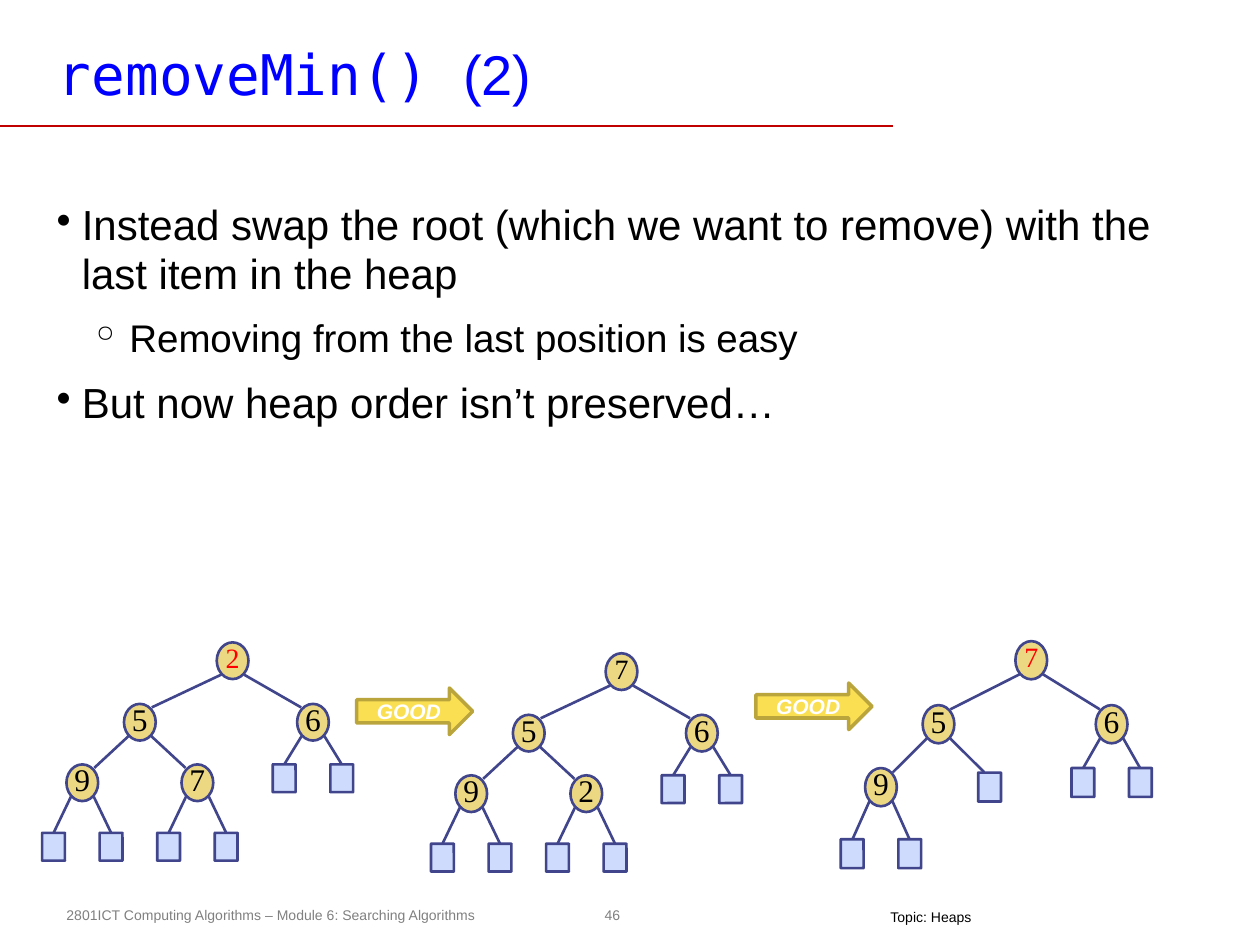
from dataclasses import dataclass

import lxml.etree
import pptx
import pptx.dml.color
import pptx.enum.shapes
import pptx.enum.text
import pptx.oxml.ns
import pptx.util

Cm = pptx.util.Cm
SHAPE = pptx.enum.shapes.MSO_SHAPE
ALIGN = pptx.enum.text.PP_ALIGN
ANCHOR = pptx.enum.text.MSO_ANCHOR


@dataclass(frozen=True)
class Theme:
    sans: str = "Arial"
    serif: str = "Times New Roman"
    mono: str = "DejaVu Sans Mono"
    title: str = "0000FF"
    text: str = "000000"
    muted: str = "808080"
    rule: str = "C00000"
    removed: str = "FF0000"
    outline: str = "40458C"
    node: str = "ECD882"
    leaf: str = "CFDBFD"
    arrow: str = "FBDF53"
    arrow_edge: str = "BAA53D"
    arrow_text: str = "FFFFFF"
    title_size: int = 32
    body_size: int = 24
    sub_size: int = 22
    key_size: int = 18
    root_size: int = 16
    arrow_size: int = 12
    small_size: int = 8


# Offsets from the root by heap index; the deeper places follow from these
PLACES = {1: (0, 0), 2: (-1.87, 1.24), 3: (1.62, 1.24), 4: (-3.03, 2.46), 5: (-0.71, 2.46)}
LEAF_STEP = 0.58


def rgb(code):
    return pptx.dml.color.RGBColor.from_string(code)


def apply(target, values):
    for name, value in values.items():
        setattr(target, name, value)


def place(index):
    """Offset of a heap index from the root."""
    if index in PLACES:
        return PLACES[index]
    x, _ = PLACES[index // 2]
    side = 1 if index % 2 else -1
    return x + side * LEAF_STEP, 2.37 if index < 8 else 3.75


class SlideBuilder:
    def __init__(self, page, theme):
        self.page = page
        self.theme = theme

    def span(self, para, text, size, color, font=None, **values):
        span = para.add_run()
        span.text = text
        apply(span.font, dict(name=font or self.theme.sans, size=pptx.util.Pt(size), **values))
        span.font.color.rgb = rgb(color)

    def frame(self, box, margins=(0.25, 0.13, 0.25, 0.13), wrap=True, anchor=ANCHOR.TOP):
        sides = ("margin_left", "margin_top", "margin_right", "margin_bottom")
        apply(box.text_frame, dict(zip(sides, map(Cm, margins)),
                                   word_wrap=wrap, vertical_anchor=anchor))
        return box.text_frame

    def text_box(self, x, y, width, height, parent=None, **layout):
        shapes = (parent or self.page).shapes
        return self.frame(shapes.add_textbox(Cm(x), Cm(y), Cm(width), Cm(height)), **layout)

    def bullet(self, para, mark, left, hang):
        apply(para, dict(line_spacing=0.97, space_before=pptx.util.Pt(10)))
        props = para._p.get_or_add_pPr()
        props.set("marL", str(Cm(left)))
        props.set("indent", str(-Cm(hang)))
        lxml.etree.SubElement(props, pptx.oxml.ns.qn("a:buChar")).set("char", mark)

    def shape(self, kind, x, y, width, height, fill=None, edge=None, weight=1.5, parent=None):
        shapes = (parent or self.page).shapes
        shape = shapes.add_shape(kind, Cm(x), Cm(y), Cm(width), Cm(height))
        shape.shadow.inherit = False
        for part, color in ((shape.fill, fill), (shape.line.fill, edge)):
            if color:
                part.solid()
                part.fore_color.rgb = rgb(color)
            else:
                part.background()
        if edge:
            shape.line.width = pptx.util.Pt(weight)
        return shape

    def line(self, start, end, color, weight, parent=None):
        shapes = (parent or self.page).shapes
        line = shapes.add_connector(pptx.enum.shapes.MSO_CONNECTOR.STRAIGHT,
                                    *map(Cm, (*start, *end)))
        line.line.color.rgb = rgb(color)
        line.line.width = pptx.util.Pt(weight)
        lxml.etree.SubElement(line._element.spPr, pptx.oxml.ns.qn("a:effectLst"))

    def arrow(self, x, y, text):
        theme = self.theme
        arrow = self.shape(SHAPE.RIGHT_ARROW, x, y, 2.34, 0.94, theme.arrow, theme.arrow_edge, 2)
        para = self.frame(arrow, anchor=ANCHOR.MIDDLE).paragraphs[0]
        para.alignment = ALIGN.CENTER
        self.span(para, text, theme.arrow_size, theme.arrow_text, bold=True, italic=True)

    def node(self, group, x, y, height, key, size, color):
        theme = self.theme
        self.shape(SHAPE.OVAL, x - 0.32, y - height / 2, 0.64, height,
                   theme.node, theme.outline, parent=group)
        frame = self.text_box(x - 0.22, y - 0.41, 0.44, 0.8, parent=group,
                              margins=(0, 0, 0, 0.13), anchor=ANCHOR.MIDDLE)
        frame.paragraphs[0].alignment = ALIGN.CENTER
        self.span(frame.paragraphs[0], str(key), size, color, theme.serif)

    def leaf(self, group, x, y, height):
        leaf = self.shape(SHAPE.ROUNDED_RECTANGLE, x - 0.23, y - height / 2, 0.46, height,
                          self.theme.leaf, self.theme.outline, parent=group)
        leaf.adjustments[0] = 0.007

    def heap(self, root_x, root_y, keys, root_color, stretch=1):
        """Draw an array-ordered heap, with an empty leaf at each missing child."""
        theme = self.theme
        group = self.page.shapes.add_group_shape()
        count = len(keys)

        def spot(index):
            x, y = place(index)
            return root_x + x, root_y + y * stretch

        # Edges
        for index in range(2, 2 * count + 2):
            (x1, y1), (x2, y2) = spot(index // 2), spot(index)
            side = 1 if index % 2 else -1
            end = (x2 - side * 0.24, y2 - 0.3) if index in PLACES else (x2, y2 - 0.28)
            self.line((x1 + side * 0.23, y1 + 0.28), end, theme.outline, 1.5, group)

        # Nodes and leaves
        for index in range(1, 2 * count + 2):
            x, y = spot(index)
            if index > count:
                shift = -0.13 if index in PLACES else 0
                self.leaf(group, x + shift, y, 0.56 * stretch)
            else:
                size, color = ((theme.root_size, root_color) if index == 1
                               else (theme.key_size, theme.text))
                self.node(group, x, y, 0.74 * stretch, keys[index - 1], size, color)


def main():
    theme = Theme()
    deck = pptx.Presentation()
    apply(deck, dict(slide_width=Cm(25.4), slide_height=Cm(19.05)))
    slide = SlideBuilder(deck.slides.add_slide(deck.slide_layouts[6]), theme)

    # Footer
    number = slide.shape(SHAPE.OVAL, 12.04, 18.11, 0.61, 0.66)
    para = slide.frame(number, (0.1,) * 4, wrap=False, anchor=ANCHOR.MIDDLE).paragraphs[0]
    para.alignment = ALIGN.CENTER
    slide.span(para, "46", theme.small_size, theme.muted)
    footer = slide.text_box(1.09, 18.14, 9.25, 0.61)
    slide.span(footer.paragraphs[0], "2801ICT Computing Algorithms – Module 6: Searching Algorithms",
               theme.small_size, theme.muted)
    topic = slide.text_box(17.7, 18.31, 2.16, 0.43, margins=(0.25, 0, 0.25, 0.1), wrap=False)
    slide.span(topic.paragraphs[0], "Topic: Heaps", theme.small_size, theme.text)

    # Title and rule
    slide.line((0, 2.54), (18.01, 2.54), theme.rule, 1)
    title = slide.text_box(0.99, 0.71, 18.85, 1.52, margins=(0.18, 0.08, 0.18, 0.08))
    for text, font in (("removeMin() ", theme.mono), ("(2)", theme.sans)):
        slide.span(title.paragraphs[0], text, theme.title_size, theme.title, font)

    # Bullets
    body = slide.text_box(0.89, 3.94, 23.65, 13.92)
    main_style = (theme.body_size, "•", 0.51, 0.51)
    sub_style = (theme.sub_size, "◦", 1.47, 0.79)
    points = (
        ("Instead swap the root (which we want to remove) with the last item in the heap", main_style),
        ("Removing from the last position is easy", sub_style),
        ("But now heap order isn’t preserved…", main_style),
    )
    for order, (text, (size, mark, left, hang)) in enumerate(points):
        para = body.add_paragraph() if order else body.paragraphs[0]
        para.level = int(mark == "◦")
        slide.bullet(para, mark, left, hang)
        slide.span(para, text, size, theme.text)

    # Heaps before the swap, after the swap and after the removal
    slide.heap(4.69, 13.32, (2, 5, 6, 9, 7), theme.removed)
    slide.heap(12.53, 13.54, (7, 5, 6, 9, 2), theme.text)
    slide.heap(20.79, 13.31, (7, 5, 6, 9), theme.removed, stretch=1.04)
    for x, y in ((7.19, 13.87), (15.24, 13.77)):
        slide.arrow(x, y, "GOOD")

    deck.save("out.pptx")


if __name__ == "__main__":
    main()
